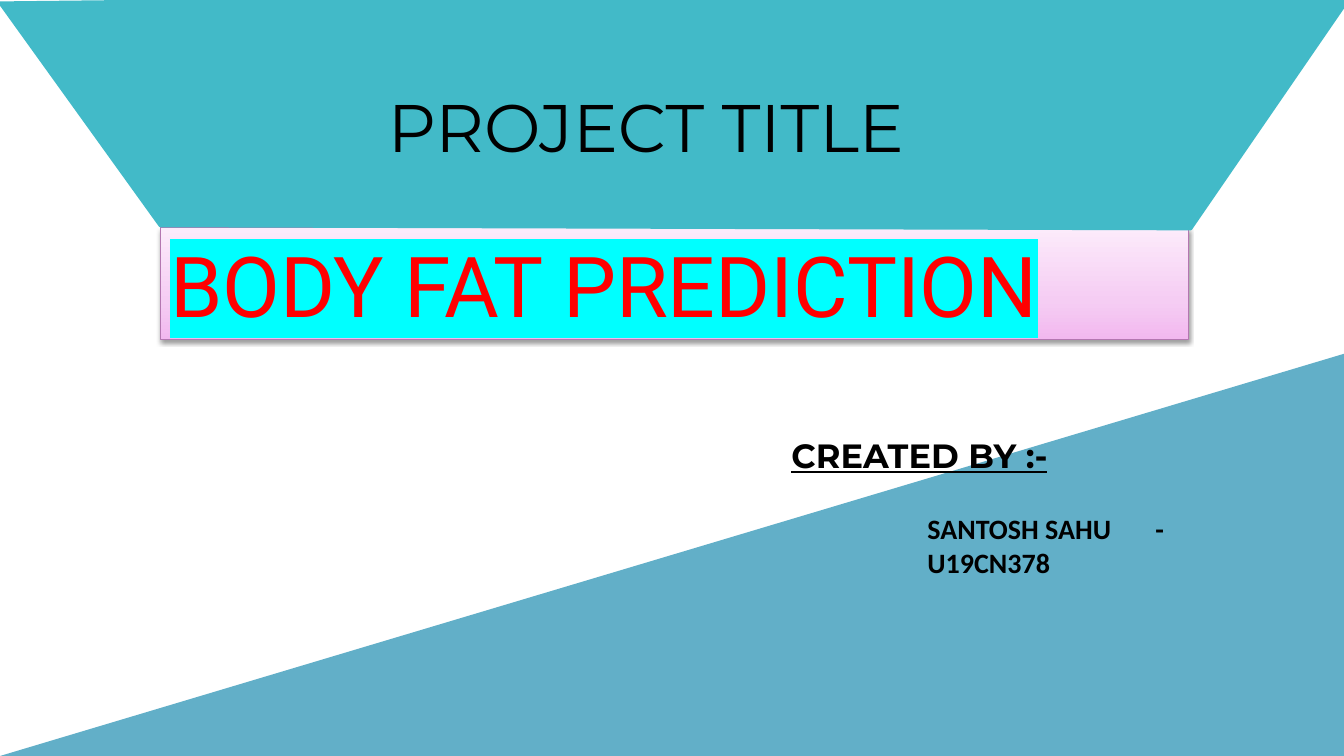
from copy import deepcopy

from lxml.etree import SubElement
from pptx import Presentation
from pptx.dml.color import RGBColor
from pptx.enum.shapes import MSO_SHAPE
from pptx.enum.text import MSO_ANCHOR, PP_ALIGN
from pptx.oxml.ns import qn
from pptx.util import Inches, Pt

TEAL = "42BAC8"
BLUE = "62AFC8"
PINK_STOPS = [(0, "F2B8EF"), (0.35, "F5CDF3"), (1, "FCEBFB")]
HEADER_OUTLINE = [(0, 0.03), (2.69, 0), (10.69, 0), (13.37, 0), (11.81, 2.27), (1.59, 2.24)]


def rgb(color):
    return RGBColor.from_string(color)


def add_preset(slide, kind, left, top, width, height):
    shape = slide.shapes.add_shape(kind, Inches(left), Inches(top), Inches(width), Inches(height))
    shape.shadow.inherit = False
    return shape


def set_line(shape, color, weight):
    shape.line.color.rgb = rgb(color)
    shape.line.width = Pt(weight)


def add_corner_triangle(slide):
    """Add the blue triangle whose right angle is at the bottom right."""
    triangle = add_preset(slide, MSO_SHAPE.RIGHT_TRIANGLE, 0, 3.51, 13.33, 3.99)
    triangle._element.spPr.find(qn("a:xfrm")).set("flipH", "1")
    triangle.fill.solid()
    triangle.fill.fore_color.rgb = rgb(BLUE)
    triangle.line.fill.background()


def add_header(slide):
    points = [(Inches(x), Inches(y)) for x, y in HEADER_OUTLINE]
    builder = slide.shapes.build_freeform(*points[0])
    builder.add_line_segments(points[1:], close=True)
    header = builder.convert_to_shape()
    header.shadow.inherit = False
    header.fill.solid()
    header.fill.fore_color.rgb = rgb(TEAL)
    set_line(header, TEAL, 2.25)


def set_gradient(shape, stops, angle):
    shape.fill.gradient()
    shape.fill.gradient_angle = angle
    stop_list = shape._element.spPr.find(qn("a:gradFill")).find(qn("a:gsLst"))
    while len(stop_list) < len(stops):
        stop_list.append(deepcopy(stop_list[0]))
    for stop, (position, color) in zip(shape.fill.gradient_stops, stops):
        stop.position = position
        stop.color.rgb = rgb(color)


def add_drop_shadow(shape, blur, distance, opacity):
    effects = shape._element.spPr.find(qn("a:effectLst"))
    shadow = SubElement(effects, qn("a:outerShdw"), blurRad=str(Pt(blur)), dist=str(Pt(distance)),
                        dir="5400000", rotWithShape="0")
    black = SubElement(shadow, qn("a:srgbClr"), val="000000")
    SubElement(black, qn("a:alpha"), val=str(opacity * 1000))


def write(shape, text, font, size, color="000000", bold=False, underline=False):
    """Set left-aligned text in one style and return its paragraph."""
    shape.text_frame.word_wrap = True
    paragraph = shape.text_frame.paragraphs[0]
    paragraph.text = text
    paragraph.alignment = PP_ALIGN.LEFT
    for run in paragraph.runs:
        run.font.name = font
        run.font.size = Pt(size)
        run.font.color.rgb = rgb(color)
        run.font.bold = bold
        run.font.underline = underline
    return paragraph


def highlight(run, color):
    properties = run._r.get_or_add_rPr()
    mark = SubElement(properties, qn("a:highlight"))
    SubElement(mark, qn("a:srgbClr"), val=color)
    properties.find(qn("a:solidFill")).addnext(mark)


def add_tab_stop(paragraph, position):
    tabs = SubElement(paragraph._p.get_or_add_pPr(), qn("a:tabLst"))
    SubElement(tabs, qn("a:tab"), pos=str(Inches(position)), algn="l")


def add_project_banner(slide):
    banner = add_preset(slide, MSO_SHAPE.RECTANGLE, 1.59, 2.26, 10.2, 1.11)
    set_gradient(banner, PINK_STOPS, 90)
    set_line(banner, "B477B1", 0.75)
    add_drop_shadow(banner, 3.1, 1.6, 38)
    banner.text_frame.vertical_anchor = MSO_ANCHOR.MIDDLE
    project = write(banner, "BODY FAT PREDICTION", "Roboto", 60, "FF0000")
    highlight(project.runs[0], "00FFFF")


def add_text(slide, left, top, width, height, *text_style, **emphasis):
    box = slide.shapes.add_textbox(Inches(left), Inches(top), Inches(width), Inches(height))
    return write(box, *text_style, **emphasis)


def main():
    presentation = Presentation()
    presentation.slide_width = Inches(13.33)
    presentation.slide_height = Inches(7.5)
    slide = presentation.slides.add_slide(presentation.slide_layouts[6])

    add_corner_triangle(slide)
    add_project_banner(slide)
    add_header(slide)
    add_text(slide, 3.75, 0.8, 6.44, 0.91, "PROJECT TITLE", "Montserrat", 48)
    add_text(slide, 7.75, 4.27, 2.91, 0.5, "CREATED BY :-", "Montserrat", 24,
             bold=True, underline=True)
    author = add_text(slide, 9.1, 5.03, 4.01, 0.77, "SANTOSH SAHU\t-\vU19CN378", "Calibri", 20,
                      bold=True)
    add_tab_stop(author, 2.26)

    presentation.save("out.pptx")


if __name__ == "__main__":
    main()
